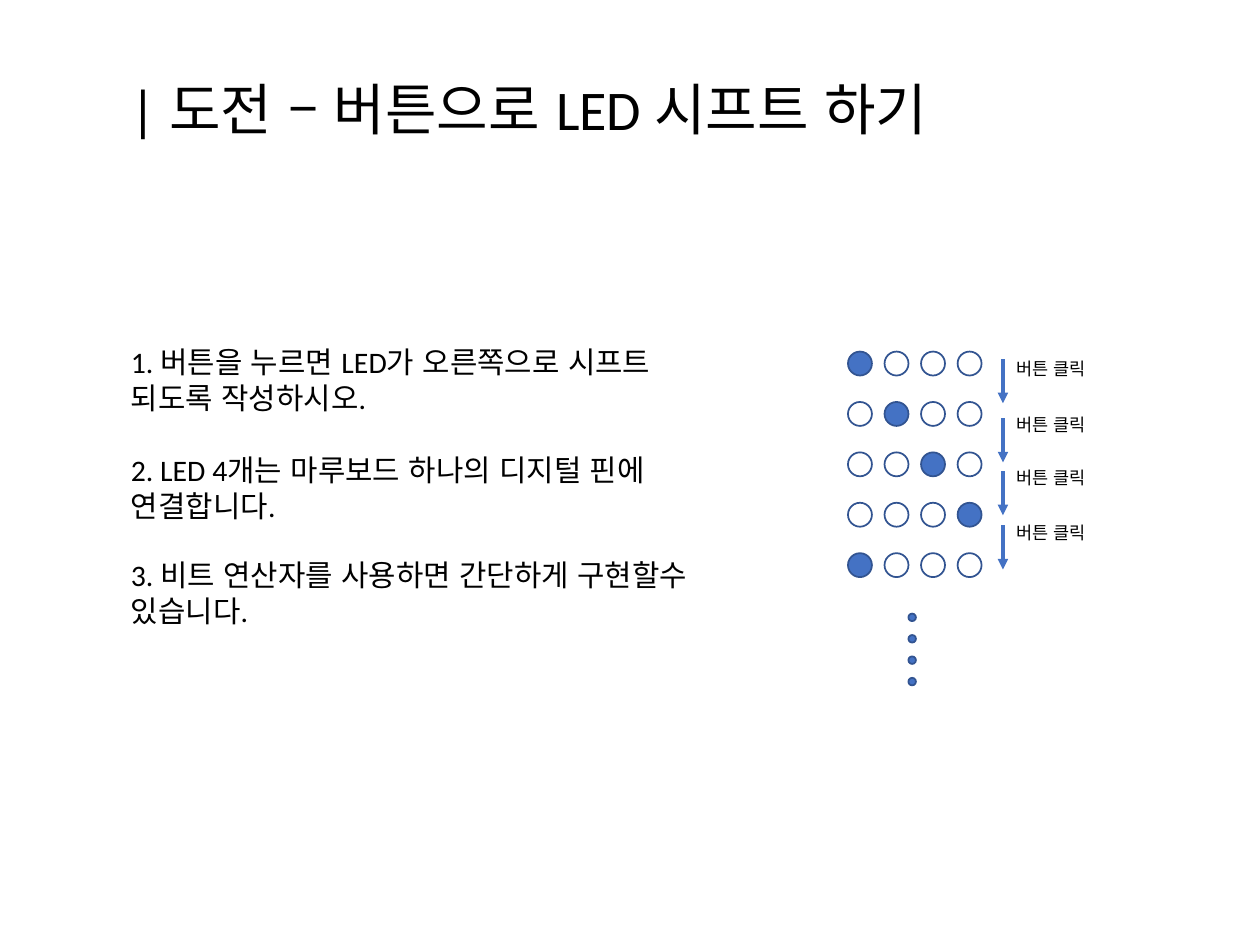
from pptx import Presentation
from pptx.dml.color import RGBColor as Rgb
from pptx.enum.lang import MSO_LANGUAGE_ID as Lang
from pptx.enum.shapes import MSO_CONNECTOR as Link, MSO_SHAPE as Kind
from pptx.enum.text import MSO_AUTO_SIZE as Fit
from pptx.oxml.ns import qn
from pptx.util import Inches, Pt
from lxml.etree import SubElement

TITLE = "| 도전 – 버튼으로 LED 시프트 하기"
TASKS = [
    ("1. 버튼을 누르면 LED가 오른쪽으로 시프트 되도록 작성하시오.", 2.68, 4.74),
    ("2. LED 4개는 마루보드 하나의 디지털 핀에 연결합니다.", 3.54, 4.62),
    ("3. 비트 연산자를 사용하면 간단하게 구현할수 있습니다.", 4.37, 4.9),
]
CLICK = "버튼 클릭"
STEPS = [(2.85, 2.79), (3.32, 3.24), (3.74, 3.66), (4.17, 4.09)]
COLORS = {"text": "000000", "on": "4472C4", "off": "FFFFFF", "edge": "325491"}
FONT = "Calibri"
MARGIN = 0.94
ROWS, COLS = 5, 4
LED_X, LED_Y, LED_DX, LED_DY, LED = 6.73, 2.79, 0.29, 0.4, 0.19
DOTS, DOT_X, DOT_Y, DOT_DY, DOT = 4, 7.21, 4.87, 0.17, 0.06
ARROW_X, ARROW_H = 7.96, 0.35


def color(name):
    return Rgb.from_string(COLORS[name])


def add_text(slide, text, x, y, w, h, size):
    box = slide.shapes.add_textbox(Inches(x), Inches(y), Inches(w), Inches(h))
    frame = box.text_frame
    frame.word_wrap = True
    frame.auto_size = Fit.SHAPE_TO_FIT_TEXT
    frame.text = text
    font = frame.paragraphs[0].runs[0].font
    font.name, font.size = FONT, Pt(size)
    font.language_id = Lang.KOREAN
    font.color.rgb = color("text")


def add_circle(slide, x, y, size, fill):
    circle = slide.shapes.add_shape(
        Kind.OVAL, Inches(x), Inches(y), Inches(size), Inches(size))
    circle.shadow.inherit = False
    circle.fill.solid()
    circle.fill.fore_color.rgb = color(fill)
    circle.line.color.rgb = color("edge")
    circle.line.width = Pt(1)


def add_arrow(slide, x, y, h):
    arrow = slide.shapes.add_connector(
        Link.STRAIGHT, Inches(x), Inches(y), Inches(x), Inches(y + h))
    arrow.line.color.rgb = color("on")
    arrow.line.width = Pt(2)
    props = arrow.element.spPr
    SubElement(props.find(qn("a:ln")), qn("a:tailEnd"), type="triangle")
    SubElement(props, qn("a:effectLst"))


def main():
    deck = Presentation()
    deck.slide_width, deck.slide_height = Inches(10), Inches(7.5)
    slide = deck.slides.add_slide(deck.slide_layouts[6])

    add_text(slide, TITLE, MARGIN, 0.54, 8.57, 0.64, 32)
    for text, y, w in TASKS:
        add_text(slide, text, MARGIN, y, w, 0.67, 17)

    for row in range(ROWS):
        for col in range(COLS):
            fill = "on" if col == row % COLS else "off"
            add_circle(slide, LED_X + col * LED_DX, LED_Y + row * LED_DY, LED, fill)
    for dot in range(DOTS):
        add_circle(slide, DOT_X, DOT_Y + dot * DOT_DY, DOT, "on")

    for top, label in STEPS:
        add_arrow(slide, ARROW_X, top, ARROW_H)
        add_text(slide, CLICK, 7.97, label, 0.86, 0.27, 10)

    deck.save("out.pptx")


if __name__ == "__main__":
    main()
